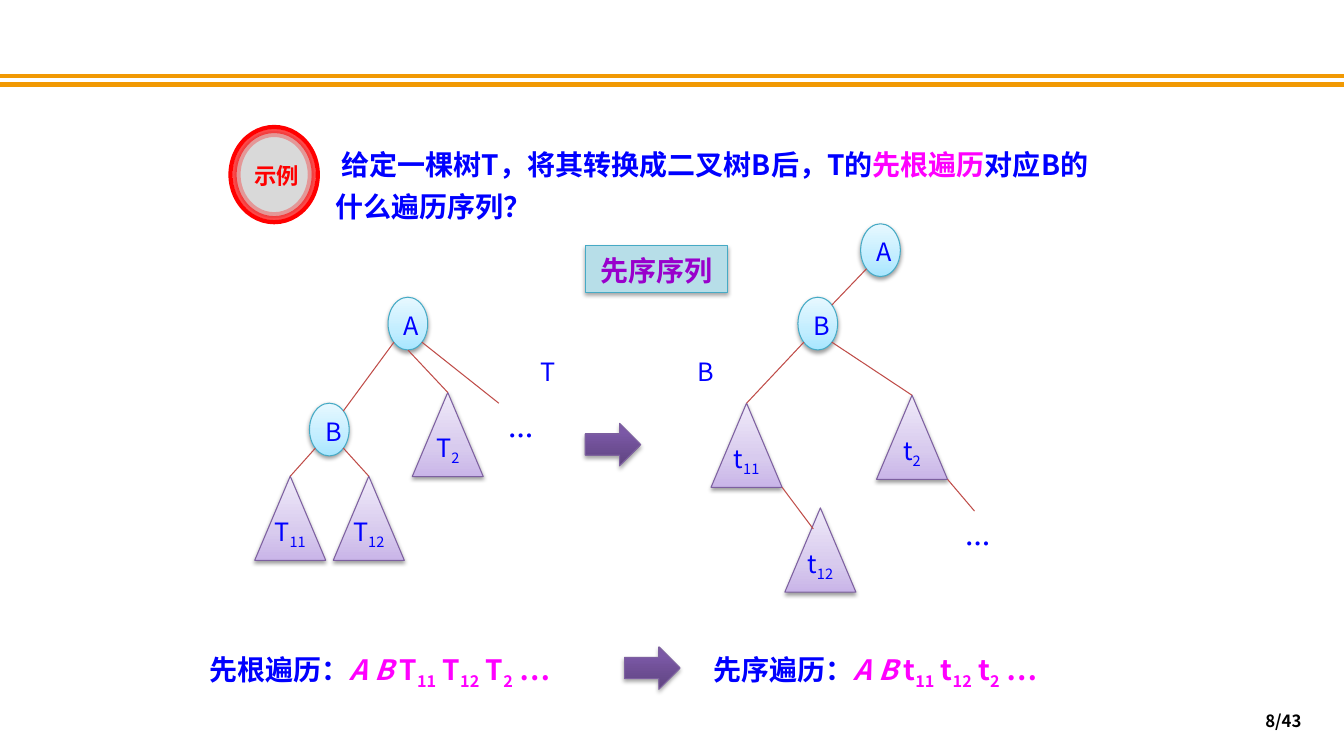
from dataclasses import dataclass

from lxml import etree
from pptx import Presentation
from pptx.dml.color import RGBColor
from pptx.enum import shapes, text
from pptx.oxml import ns, parse_xml
from pptx.util import Cm, Pt


@dataclass(frozen=True)
class Theme:
    font: str = "Noto Sans CJK SC"
    blue: str = "0000FF"
    pink: str = "FF00FF"
    purple: str = "9900CC"
    red: str = "FF0000"
    black: str = "000000"
    rule: str = "F19903"
    edge: str = "BF4C48"
    node_line: str = "46AAC5"
    tree_line: str = "7D60A0"
    answer_fill: str = "B7DEE8"
    badge_outer: str = "F8F8F8"
    badge_inner: str = "D9D9D9"
    node_stops: tuple = ((0, "A7E6FF"), (35, "C1EDFF"), (100, "E7F8FF"))
    tree_stops: tuple = ((0, "C9B5E8"), (35, "D8CBEE"), (100, "F0EAF9"))
    arrow_stops: tuple = ((0, "5F4480"), (80, "7B58A6"), (100, "7C57A8"))
    heading: int = 20
    label: int = 18
    badge: int = 16
    footer: int = 12


THEME = Theme()
LOWER_LEFT = (0.15, 0.85)
LOWER_RIGHT = (0.85, 0.85)
UPPER_RIGHT = (0.85, 0.15)
BOTTOM = (0.5, 1)
APEX = (0.5, 0)
BASE_RIGHT = (1, 1)


def add_span(para, content, color, size, bold=False, italic=False, sub=False):
    span = para.add_run()
    span.text = content
    font = span.font
    font.name, font.size, font.bold, font.italic = THEME.font, Pt(size), bold, italic
    font.color.rgb = RGBColor.from_string(color)
    properties = font._element
    if sub:
        properties.set("baseline", "-25000")
    latin = properties.find(ns.qn("a:latin"))
    east_asian = etree.Element(ns.qn("a:ea"), typeface=THEME.font)
    latin.addnext(east_asian)


def add_text(page, left, top, width, height, spans, spacing=Pt(30), align=None):
    box = page.shapes.add_textbox(Cm(left), Cm(top), Cm(width), Cm(height))
    box.text_frame.word_wrap = True
    box.text_frame.auto_size = text.MSO_AUTO_SIZE.SHAPE_TO_FIT_TEXT
    para = box.text_frame.paragraphs[0]
    para.line_spacing = spacing
    para.alignment = align
    for span in spans:
        add_span(para, *span)
    return box


def add_gradient(shape, stops):
    marks = "".join(
        f'<a:gs pos="{position * 1000}"><a:srgbClr val="{color}"/></a:gs>'
        for position, color in stops
    )
    shape.fill.background()
    old = shape._element.spPr.find(ns.qn("a:noFill"))
    gradient = parse_xml(
        f'<a:gradFill {ns.nsdecls("a")} rotWithShape="1"><a:gsLst>{marks}</a:gsLst>'
        '<a:lin ang="16200000" scaled="0"/></a:gradFill>'
    )
    old.getparent().replace(old, gradient)


def add_shadow(shape, opacity, distance):
    effects = shape._element.spPr.find(ns.qn("a:effectLst"))
    effects.append(parse_xml(
        f'<a:outerShdw {ns.nsdecls("a")} blurRad="{Pt(3.1)}" dist="{Pt(distance)}" '
        f'dir="5400000" rotWithShape="0"><a:srgbClr val="{THEME.black}">'
        f'<a:alpha val="{opacity * 1000}"/></a:srgbClr></a:outerShdw>'
    ))


def add_figure(page, kind, left, top, width, height, fill, line, weight=0.75):
    shape = page.shapes.add_shape(kind, Cm(left), Cm(top), Cm(width), Cm(height))
    shape.shadow.inherit = False
    shape.line.color.rgb = RGBColor.from_string(line)
    shape.line.width = Pt(weight)
    if fill is None:
        shape.fill.background()
    elif isinstance(fill, str):
        shape.fill.solid()
        shape.fill.fore_color.rgb = RGBColor.from_string(fill)
    else:
        add_gradient(shape, fill)
    return shape


def add_node(page, left, top, name):
    node = add_figure(page, shapes.MSO_SHAPE.OVAL, left, top, 1, 1.33,
                      THEME.node_stops, THEME.node_line)
    add_shadow(node, 38, 1.6)
    para = node.text_frame.paragraphs[0]
    para.alignment = text.PP_ALIGN.CENTER
    para.line_spacing = 1.1
    add_span(para, name, THEME.blue, THEME.label)
    return node


def add_subtree(page, left, top, name, index):
    tree = add_figure(page, shapes.MSO_SHAPE.ISOSCELES_TRIANGLE, left, top, 1.79, 2.12,
                      THEME.tree_stops, THEME.tree_line)
    add_shadow(tree, 38, 1.6)
    frame = tree.text_frame
    frame.margin_left = frame.margin_right = frame.margin_top = frame.margin_bottom = 0
    para = frame.paragraphs[0]
    para.alignment = text.PP_ALIGN.CENTER
    para.line_spacing = Pt(16)
    add_span(para, name, THEME.blue, THEME.label)
    add_span(para, index, THEME.blue, THEME.label, sub=True)
    return tree


def add_arrow(page, left, top):
    arrow = add_figure(page, shapes.MSO_SHAPE.RIGHT_ARROW, left, top, 1.4, 1.07,
                       THEME.arrow_stops, THEME.tree_line)
    add_shadow(arrow, 35, 1.8)


def point_on(shape, place):
    across, down = place
    return int(shape.left + across * shape.width), int(shape.top + down * shape.height)


def add_line(page, start, end, color, weight):
    line = page.shapes.add_connector(shapes.MSO_CONNECTOR.STRAIGHT, *start, *end)
    line.line.color.rgb = RGBColor.from_string(color)
    line.line.width = Pt(weight)
    etree.SubElement(line._element.spPr, ns.qn("a:effectLst"))


def add_edge(page, start, end):
    add_line(page, start, end, THEME.edge, 0.75)


def add_general_tree(page):
    root = add_node(page, 9.78, 7.49, "A")
    child = add_node(page, 7.8, 10.16, "B")
    first = add_subtree(page, 6.42, 12, "T", "11")
    second = add_subtree(page, 8.4, 12, "T", "12")
    sibling = add_subtree(page, 10.39, 9.89, "T", "2")
    add_edge(page, point_on(root, LOWER_LEFT), point_on(child, UPPER_RIGHT))
    add_edge(page, point_on(root, BOTTOM), point_on(sibling, APEX))
    add_edge(page, point_on(root, LOWER_RIGHT), (Cm(12.57), Cm(10.16)))
    add_edge(page, point_on(child, LOWER_LEFT), point_on(first, APEX))
    add_edge(page, point_on(child, LOWER_RIGHT), point_on(second, APEX))


def add_binary_tree(page):
    root = add_node(page, 21.69, 5.64, "A")
    child = add_node(page, 20.11, 7.49, "B")
    first = add_subtree(page, 17.92, 10.16, "t", "11")
    second = add_subtree(page, 19.78, 12.8, "t", "12")
    sibling = add_subtree(page, 22.09, 9.96, "t", "2")
    add_edge(page, point_on(root, LOWER_LEFT), point_on(child, UPPER_RIGHT))
    add_edge(page, point_on(child, LOWER_LEFT), point_on(first, APEX))
    add_edge(page, point_on(child, LOWER_RIGHT), point_on(sibling, APEX))
    add_edge(page, point_on(first, BASE_RIGHT), point_on(second, (0.4, 0.25)))
    add_edge(page, point_on(sibling, BASE_RIGHT), (Cm(24.56), Cm(12.88)))


def add_sequence(page, left, top, width, title, letter):
    pink = (THEME.pink, THEME.heading, True)
    spans = [(title, THEME.blue, THEME.heading, True), ("A B", *pink, True)]
    for index in ("11", "12", "2"):
        spans += [(f" {letter}", *pink), (index, *pink, False, True)]
    spans.append((" …", *pink))
    add_text(page, left, top, width, 1.32, spans)


def add_badge(page):
    rings = ((THEME.badge_outer, 100), (THEME.badge_inner, 70), (None, 30))
    for step, (fill, opacity) in enumerate(rings):
        inset = 0.1 * step
        ring = add_figure(page, shapes.MSO_SHAPE.OVAL, 5.81 + inset, 3.2 + inset,
                          2.2 - 2 * inset, 2.4 - 2 * inset, fill, THEME.red, 3)
        if opacity < 100:
            color = ring.line._ln.find(".//" + ns.qn("a:srgbClr"))
            etree.SubElement(color, ns.qn("a:alpha"), val=str(opacity * 1000))
    add_text(page, 6.05, 3.89, 1.85, 1.02, [("示例", THEME.red, THEME.badge, True)],
             1.1, text.PP_ALIGN.CENTER)


def add_answer(page):
    answer = add_figure(page, shapes.MSO_SHAPE.RECTANGLE, 14.75, 6.19, 3.59, 1.18,
                        THEME.answer_fill, THEME.node_line)
    add_shadow(answer, 35, 1.8)
    para = answer.text_frame.paragraphs[0]
    para.alignment = text.PP_ALIGN.CENTER
    para.line_spacing = Pt(26)
    add_span(para, "先序序列", THEME.purple, THEME.heading, True)


def main():
    deck = Presentation()
    deck.slide_width, deck.slide_height = Cm(33.87), Cm(19.05)
    page = deck.slides.add_slide(deck.slide_layouts[6])
    for height in (1.92, 2.13):
        add_line(page, (0, Cm(height)), (deck.slide_width, Cm(height)), THEME.rule, 3)
    add_sequence(page, 5.03, 16.23, 10.11, "先根遍历：", "T")
    add_sequence(page, 17.73, 16.21, 10.72, "先序遍历：", "t")
    add_general_tree(page)
    add_binary_tree(page)
    add_arrow(page, 15.74, 16.3)
    add_arrow(page, 14.75, 10.67)
    for left, top, label, bold in ((12.57, 10.16, "…", True), (24.08, 12.88, "…", True),
                                   (13.36, 8.56, "T", False), (17.32, 8.56, "B", False)):
        add_text(page, left, top, 1.4, 1.32, [(label, THEME.blue, THEME.label, bold)])
    add_answer(page)
    add_text(page, 8.2, 3.38, 19.84, 2.39, [
        (" 给定一棵树T，将其转换成二叉树B后，T的", THEME.blue, THEME.heading, True),
        ("先根遍历", THEME.pink, THEME.heading, True),
        ("对应B的什么遍历序列？", THEME.blue, THEME.heading, True),
    ])
    add_badge(page)
    number = add_text(page, 25.15, 17.65, 7.9, 1.02,
                      [("8/43", THEME.black, THEME.footer, True)], 1.0, text.PP_ALIGN.RIGHT)
    number.text_frame.auto_size = text.MSO_AUTO_SIZE.NONE
    number.text_frame.vertical_anchor = text.MSO_ANCHOR.MIDDLE
    deck.save("out.pptx")


if __name__ == "__main__":
    main()
